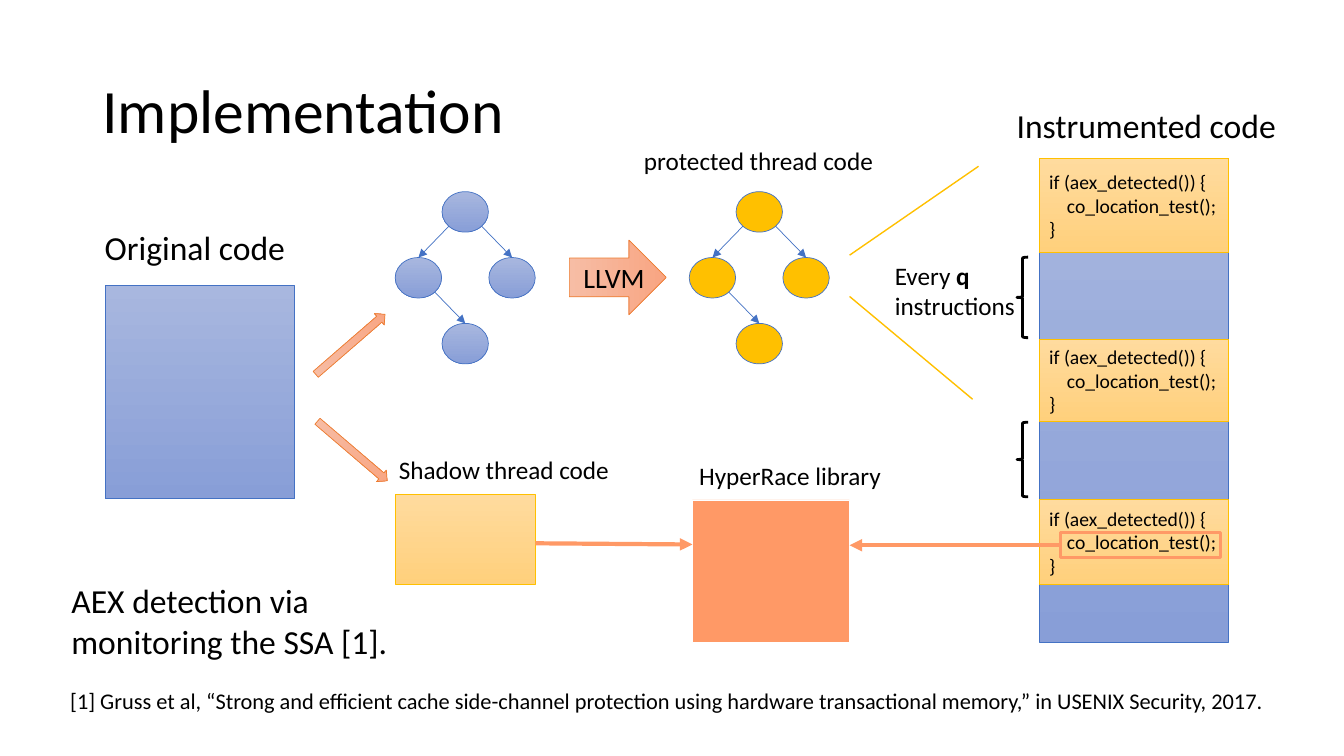
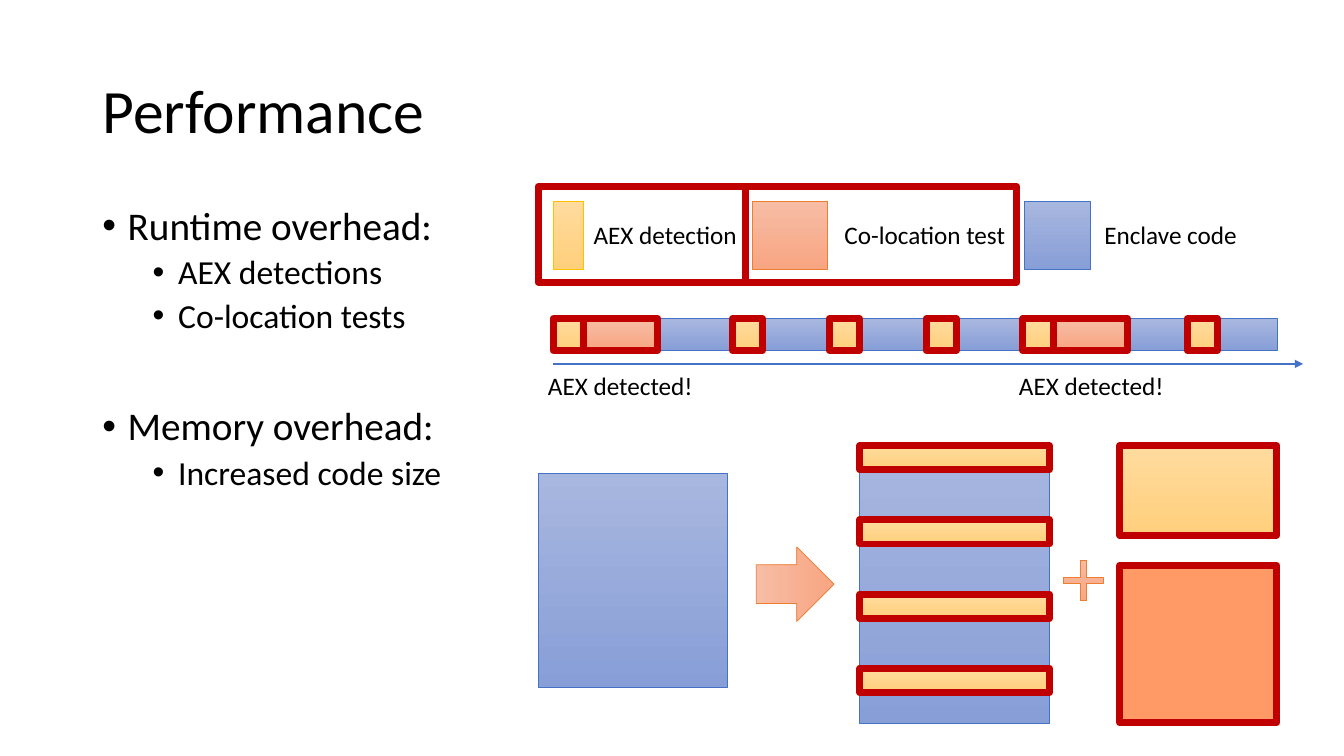
import lxml.etree
import pptx
import pptx.dml.color
import pptx.enum.shapes
import pptx.enum.text
import pptx.oxml.ns
import pptx.util

Cm = pptx.util.Cm
Pt = pptx.util.Pt
SHAPE = pptx.enum.shapes.MSO_SHAPE
ANCHOR = pptx.enum.text.MSO_ANCHOR
qn = pptx.oxml.ns.qn

FONT = "Calibri"
BLACK, BLUE, GOLD, CORAL, RED = "000000", "4472C4", "FFC000", "FF9966", "C00000"

# fill colours (two make a gradient), then line colour
TONES = {
    "enclave": (("A8B7DF", "889ED7"), BLUE),
    "detection": (("FFDB9E", "FFD07C"), GOLD),
    "test": (("F7BDA5", "F8A582"), "ED7D31"),
    "protected": ((GOLD,), BLUE),
    "library": ((CORAL,), "FFFFFF"),
}

CODE_WIDTH = 4.78
SHADOW_SIZE = (3.96, 2.26)


def rgb(value):
    return pptx.dml.color.RGBColor.from_string(value)


def add_run(paragraph, text, size, bold=False):
    run = paragraph.add_run()
    run.text = text
    run.font.name = FONT
    run.font.size = Pt(size)
    run.font.bold = bold
    run.font.color.rgb = rgb(BLACK)


def add_label(slide, box, lines, size):
    """Each line is a list of (text, bold) runs, or a plain string."""
    frame = slide.shapes.add_textbox(*map(Cm, box)).text_frame
    frame.word_wrap = True
    for index, line in enumerate(lines):
        paragraph = frame.add_paragraph() if index else frame.paragraphs[0]
        for text, bold in [(line, False)] if isinstance(line, str) else line:
            add_run(paragraph, text, size, bold)


def add_outline(slide, box, color, width, kind=SHAPE.RECTANGLE):
    shape = slide.shapes.add_shape(kind, *map(Cm, box))
    shape.shadow.inherit = False
    shape.fill.background()
    shape.line.color.rgb = rgb(color)
    shape.line.width = Pt(width)
    return shape


def add_toned(slide, box, tone, kind=SHAPE.RECTANGLE):
    fills, line = TONES[tone]
    shape = add_outline(slide, box, line, 0.5, kind)
    if len(fills) == 1:
        shape.fill.solid()
        shape.fill.fore_color.rgb = rgb(fills[0])
    else:
        shape.fill.gradient()
        shape.fill.gradient_angle = 270
        for stop, color in zip(shape.fill.gradient_stops, fills):
            stop.color.rgb = rgb(color)
    return shape


def add_block_arrow(slide, box, rotation):
    arrow = add_toned(slide, box, "test", SHAPE.DOWN_ARROW)
    arrow.adjustments[0] = 0.52
    arrow.adjustments[1] = 0.5
    arrow.rotation = rotation


def add_line(slide, start, end, color, width, arrow=False):
    line = slide.shapes.add_connector(
        pptx.enum.shapes.MSO_CONNECTOR.STRAIGHT, *map(Cm, (*start, *end)))
    line.line.color.rgb = rgb(color)
    line.line.width = Pt(width)
    if arrow:
        outline = line.line._get_or_add_ln()
        lxml.etree.SubElement(outline, qn("a:tailEnd"), type="triangle")
    lxml.etree.SubElement(line._element.spPr, qn("a:effectLst"))


def add_titled_slide(deck, text):
    slide = deck.slides.add_slide(deck.slide_layouts[5])
    title = slide.shapes.title
    title.left, title.top, title.width, title.height = map(
        Cm, (2.33, 1.02, 29.21, 3.68))
    frame = title.text_frame
    frame.vertical_anchor = ANCHOR.MIDDLE
    paragraph = frame.paragraphs[0]
    paragraph.alignment = pptx.enum.text.PP_ALIGN.LEFT
    paragraph.line_spacing = 0.9
    add_run(paragraph, text, 44)
    return slide


def add_flow_tree(slide, left, top, tone):
    """Control-flow tree: a root, two children and one grandchild."""
    width, height = 1.17, 1.02
    column, row = 1.18, 1.66
    root, near, far, leaf = (1, 0), (0, 1), (2, 1), (1, 2)

    def corner(node):
        return left + node[0] * column, top + node[1] * row

    for node in (root, near, far, leaf):
        add_toned(slide, (*corner(node), width, height), tone, SHAPE.OVAL)
    for parent, child in ((root, near), (root, far), (near, leaf)):
        x, y = corner(parent)
        child_x, child_y = corner(child)
        side = 0.85 if child_x > x else 0.15
        add_line(slide, (x + side * width, y + 0.85 * height),
                 (child_x + width / 2, child_y), BLUE, 0.5, arrow=True)


def add_check_block(slide, box):
    block = add_toned(slide, box, "detection")
    frame = block.text_frame
    frame.word_wrap = True
    frame.vertical_anchor = ANCHOR.MIDDLE
    frame.margin_right = 0
    code = (("if (aex_detected()) {", 0), ("co_location_test();", 0.45), ("}", 0))
    for index, (text, indent) in enumerate(code):
        paragraph = frame.add_paragraph() if index else frame.paragraphs[0]
        paragraph.alignment = pptx.enum.text.PP_ALIGN.LEFT
        paragraph._p.get_or_add_pPr().set("marL", str(Cm(indent)))
        add_run(paragraph, text, 14)


def add_instrumented_code(slide, left, top):
    add_toned(slide, (left, top, CODE_WIDTH, 12.19), "enclave")
    for offset, height in ((0, 2.36), (4.54, 2.08), (8.59, 2.13)):
        add_check_block(slide, (left, top + offset, CODE_WIDTH, height))
    for offset, height in ((2.48, 2.03), (6.64, 1.88)):
        add_outline(slide, (left - 0.56, top + offset, 0.28, height),
                    BLACK, 2, SHAPE.LEFT_BRACE)
    add_outline(slide, (left + 0.53, top + 9.41, 4.04, 0.64), CORAL, 2)


def add_legend(slide, left, top):
    entries = (
        ("AEX detection", "detection", 0.38, 0.76, 1.15),
        ("Co-location test", "test", 5.41, 1.88, 7.47),
        ("Enclave code", "enclave", 12.25, 1.68, 14.02),
    )
    for text, tone, swatch, width, label in entries:
        add_toned(slide, (left + swatch, top + 0.38, width, 1.7), tone)
        add_label(slide, (left + label, top + 0.71, 4.6, 1.02), [text], 18)
    for offset, width in ((0, 5.24), (5.24, 6.83)):
        add_outline(slide, (left + offset, top, width, 2.41), RED, 5)


def add_timeline(slide, left, top):
    detection, test = ("detection", 0.76), ("test", 1.88)
    gap, late_gap = ("enclave", 1.68), ("enclave", 1.5)
    segments = [detection, test, ("enclave", 1.88)]
    segments += [detection, gap] * 3
    segments += [detection, test, late_gap, detection, late_gap]
    overhead = []
    x = left
    for tone, width in segments:
        box = (x, top, width, 0.8)
        add_toned(slide, box, tone)
        if tone != "enclave":
            overhead.append(box)
        x += width
    for box in overhead:
        add_outline(slide, box, RED, 5)
    add_line(slide, (left, top + 1.14), (left + 18.9, top + 1.14),
             BLUE, 1.5, arrow=True)
    for offset in (-0.38, 11.49):
        add_label(slide, (left + offset, top + 1.18, 4.6, 1.02),
                  ["AEX detected!"], 18)


def add_code_growth(slide, left, top):
    """Code before and after: added parts are framed."""
    add_toned(slide, (left, top + 0.71, CODE_WIDTH, 5.38), "enclave")
    add_block_arrow(slide, (left + 5.54, top + 2.51, 1.88, 1.96), 270)
    grown = left + 8.11
    add_toned(slide, (grown, top, CODE_WIDTH, 6.99), "enclave")
    plus = add_toned(slide, (left + 13.06, top + 2.71, 1.37, 1.37),
                     "test", SHAPE.MATH_PLUS)
    plus.adjustments[0] = 0.12
    added = [((grown, top + 1.87 * index, CODE_WIDTH, 0.61), "detection")
             for index in range(4)]
    added.append(((left + 14.66, top, *SHADOW_SIZE), "detection"))
    added.append(((left + 14.66, top + 3.02, 3.96, 3.96), "library"))
    for box, tone in added:
        add_toned(slide, box, tone)
        add_outline(slide, box, RED, 5)


def add_overhead_list(slide, box):
    frame = slide.shapes.add_textbox(*map(Cm, box)).text_frame
    frame.word_wrap = True
    items = (
        ("Runtime overhead:", 0, 10),
        ("AEX detections", 1, 5),
        ("Co-location tests", 1, 5),
        ("Memory overhead:", 0, 51),
        ("Increased code size", 1, 5),
    )
    for index, (text, level, before) in enumerate(items):
        paragraph = frame.add_paragraph() if index else frame.paragraphs[0]
        paragraph.level = level
        paragraph.line_spacing = 0.9
        paragraph.space_before = Pt(before)
        properties = paragraph._p.get_or_add_pPr()
        properties.set("marL", str(Cm(0.64 + 1.27 * level)))
        properties.set("indent", str(-Cm(0.64)))
        lxml.etree.SubElement(properties, qn("a:buFont"), typeface="Arial")
        lxml.etree.SubElement(properties, qn("a:buChar"), char="•")
        add_run(paragraph, text, 24 if level else 28)


def build_implementation(deck):
    slide = add_titled_slide(deck, "Implementation")
    add_toned(slide, (2.65, 7.19, CODE_WIDTH, 5.38), "enclave")
    add_instrumented_code(slide, 26.19, 4)
    add_flow_tree(slide, 9.96, 4.83, "enclave")
    add_flow_tree(slide, 17.37, 4.83, "protected")
    add_block_arrow(slide, (14.63, 5.77, 1.88, 2.44), 270)
    add_block_arrow(slide, (8.64, 7.52, 0.38, 2.31), 229.1)
    add_block_arrow(slide, (8.69, 10.21, 0.38, 2.31), 310.5)
    add_toned(slide, (9.96, 12.47, 3.53, 2.26), "detection")
    add_toned(slide, (17.45, 12.6, 3.96, 3.58), "library")
    add_line(slide, (21.41, 6.43), (24.66, 4.19), GOLD, 1)
    add_line(slide, (21.41, 7.47), (24.51, 10.06), GOLD, 1)
    add_line(slide, (13.49, 13.69), (17.45, 13.72), CORAL, 3, arrow=True)
    add_line(slide, (26.72, 13.74), (21.41, 13.74), CORAL, 3, arrow=True)

    labels = (
        ((2.39, 5.59, 5.6, 1.27), ["Original code"], 24),
        ((25.37, 2.51, 7.6, 1.27), ["Instrumented code"], 24),
        ((15.98, 3.53, 6.6, 1.02), ["protected thread code"], 18),
        ((9.8, 11.33, 6.2, 1.02), ["Shadow thread code"], 18),
        ((17.37, 11.48, 5.6, 1.02), ["HyperRace library"], 18),
        ((14.45, 6.43, 2.2, 1.12), ["LLVM"], 20),
        ((22.3, 6.43, 3.7, 1.8),
         [[("Every ", False), ("q", True)], "instructions"], 18),
        ((1.55, 14.5, 9.88, 2.31),
         ["AEX detection via monitoring the SSA [1]."], 24),
        ((1.52, 17.2, 31.55, 0.94),
         ["[1] Gruss et al, “Strong and efficient cache side-channel protection "
          "using hardware transactional memory,” in USENIX Security, 2017."], 16),
    )
    for box, lines, size in labels:
        add_label(slide, box, lines, size)


def build_performance(deck):
    slide = add_titled_slide(deck, "Performance")
    add_overhead_list(slide, (2.33, 5.08, 11, 12.09))
    add_legend(slide, 13.56, 4.7)
    add_timeline(slide, 13.94, 8.03)
    add_code_growth(slide, 13.56, 11.23)


def main():
    deck = pptx.Presentation()
    deck.slide_width, deck.slide_height = Cm(33.87), Cm(19.05)
    build_implementation(deck)
    build_performance(deck)
    deck.save("out.pptx")


if __name__ == "__main__":
    main()
